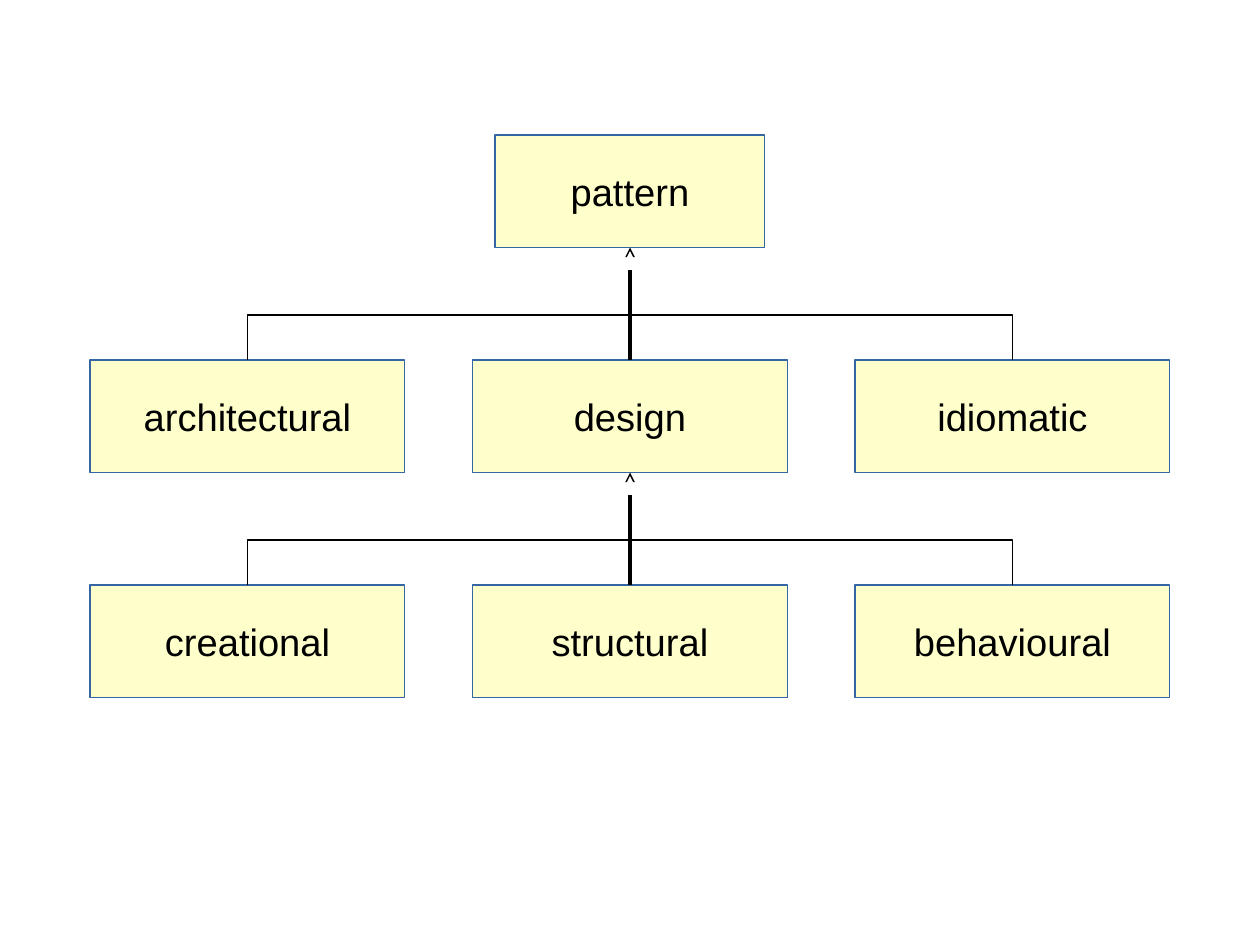
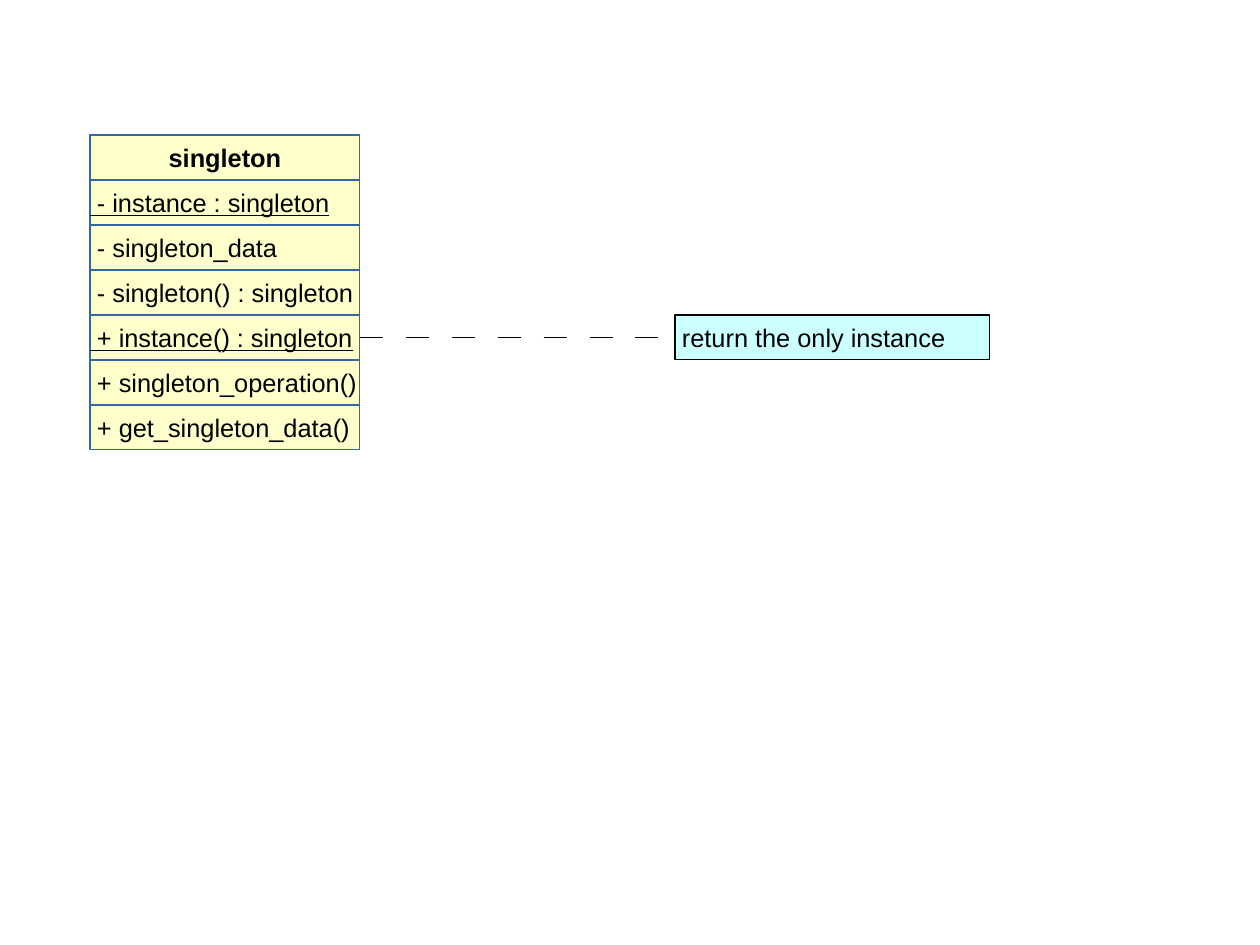
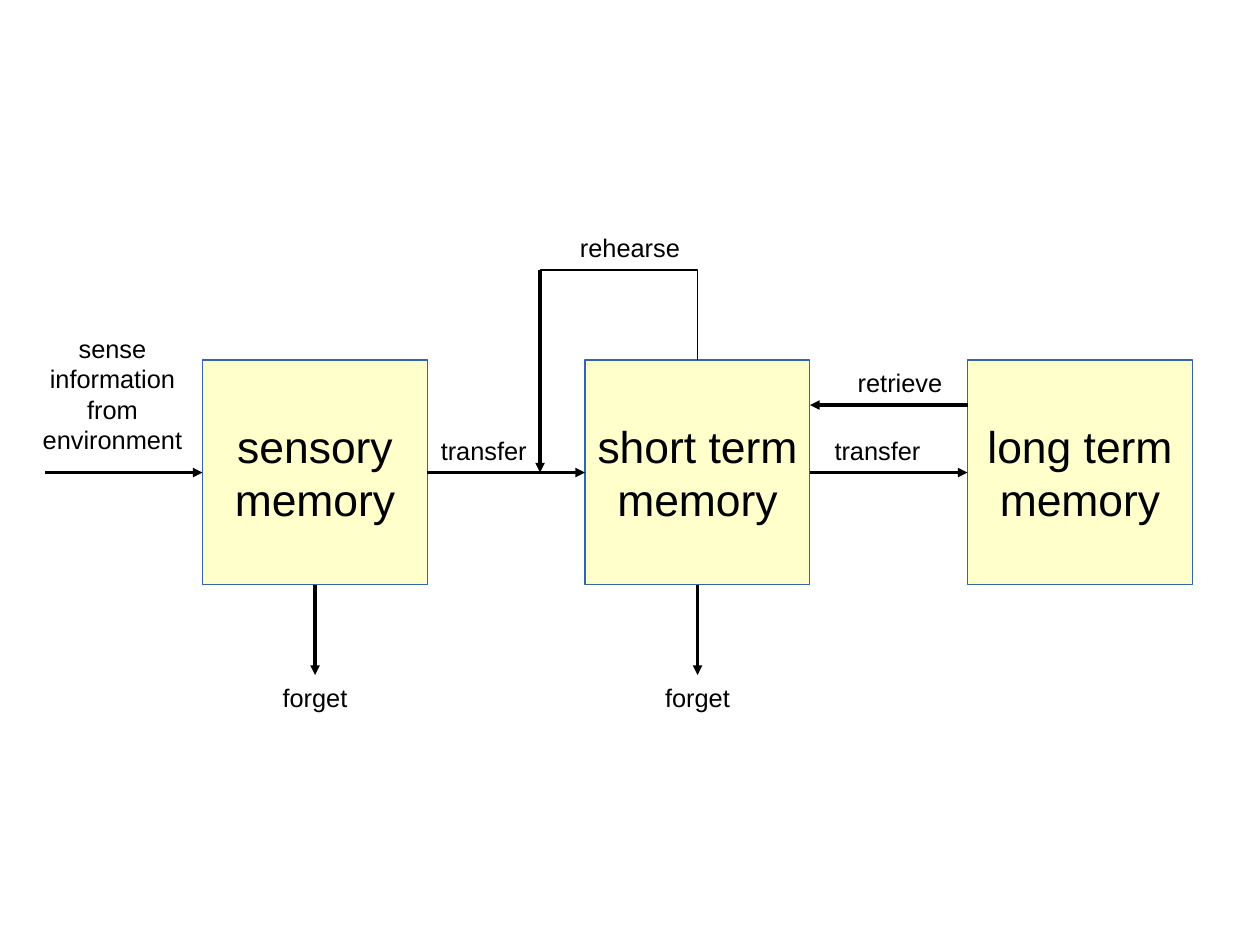
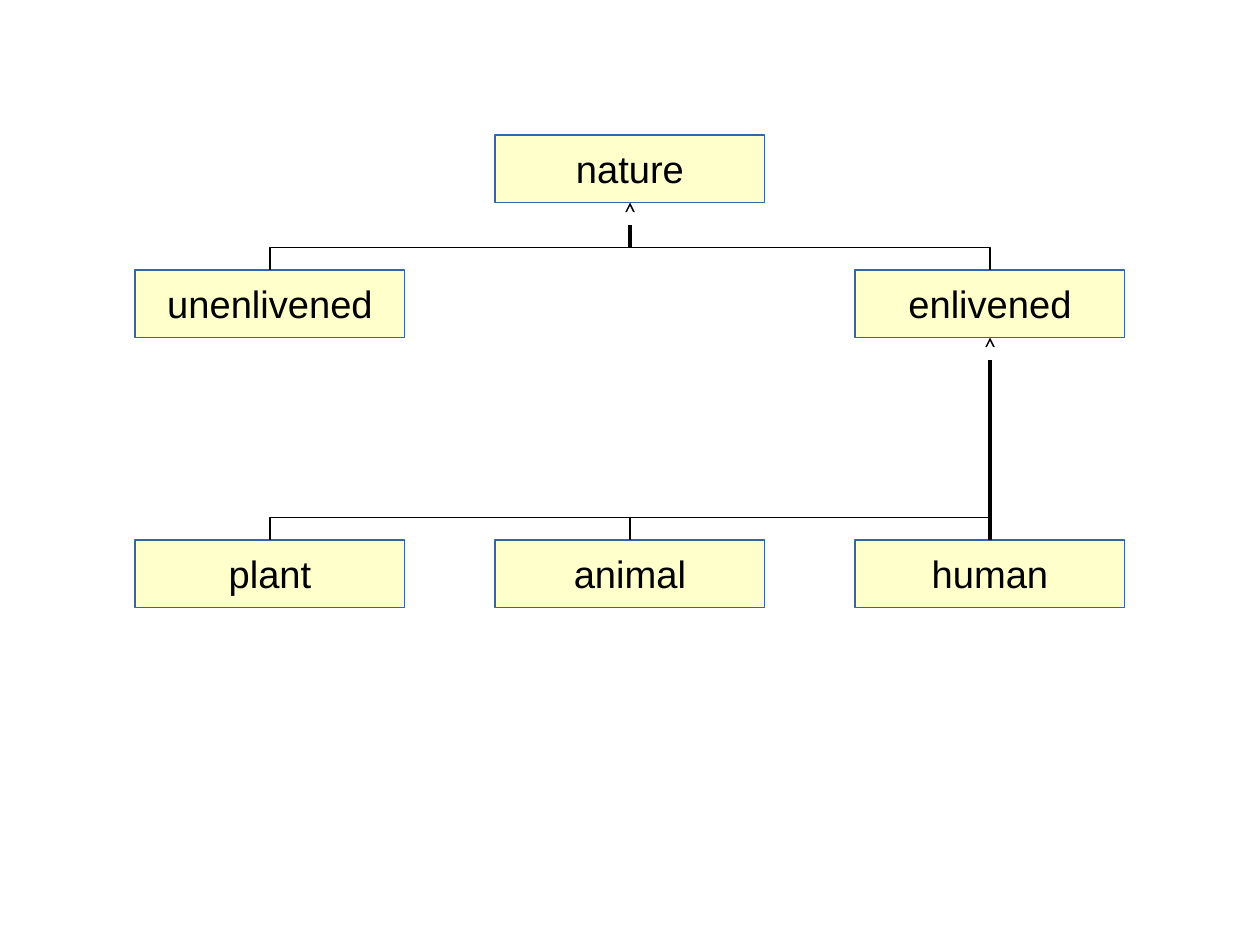
from lxml import etree
from pptx import Presentation, util as u
from pptx.dml.color import RGBColor
from pptx.enum import shapes, text
from pptx.oxml.ns import qn

# Shared look: a grid of 56 x 42 half-centimetre cells
CELL = u.Cm(0.5)
COLS, ROWS = 56, 42
FONT = "Arial"
COLOURS = dict(box="FFFFCC", edge="3465A4", note="CCFFFF", ink="000000", paper="FFFFFF")
CENTRE, LEFT = text.PP_ALIGN.CENTER, text.PP_ALIGN.LEFT

# Trees: box size, boxes as name: (column, row), families as (parent, children, rail row)
TREES = {
    "patterns": dict(
        size=(14, 5),
        boxes={"pattern": (22, 6, 12, 5),
               "architectural": (4, 16), "design": (21, 16), "idiomatic": (38, 16),
               "creational": (4, 26), "structural": (21, 26), "behavioural": (38, 26)},
        families=[("pattern", ["architectural", "design", "idiomatic"], 14),
                  ("design", ["creational", "structural", "behavioural"], 24)]),
    "nature": dict(
        size=(12, 3),
        boxes={"nature": (22, 6), "unenlivened": (6, 12), "enlivened": (38, 12),
               "plant": (6, 24), "animal": (22, 24), "human": (38, 24)},
        families=[("nature", ["unenlivened", "enlivened"], 11),
                  ("enlivened", ["plant", "animal", "human"], 23)]),
}

# Class diagram: (row text, bold, underlined)
SINGLETON = [
    ("singleton", True, False),
    (" - instance : singleton", False, True),
    (" - singleton_data", False, False),
    (" - singleton() : singleton", False, False),
    (" + instance() : singleton", False, True),
    (" + singleton_operation()", False, False),
    (" + get_singleton_data()", False, False),
]
NOTED_ROW, NOTE = 4, " return the only instance"

# Memory model: stores left to right, labels as (text, column, row, width, height)
STORES = ["sensory\nmemory", "short term\nmemory", "long term\nmemory"]
LABELS = [
    ("sense\ninformation\nfrom\nenvironment", 1, 14, 8, 7),
    ("transfer", 19, 19, 5, 2), ("transfer", 36, 19, 6, 2),
    ("retrieve", 37, 16, 6, 2), ("rehearse", 25, 10, 6, 2),
    ("forget", 11, 30, 6, 2), ("forget", 28, 30, 6, 2),
]


def cells(*counts):
    return [u.Emu(round(n * CELL)) for n in counts]


def rgb(name):
    return RGBColor.from_string(COLOURS[name])


def write(sp, words, size, align=CENTRE, bold=False, underline=False):
    tf = sp.text_frame
    tf.text = words
    tf.word_wrap = True
    tf.vertical_anchor = text.MSO_ANCHOR.MIDDLE
    tf.margin_left = tf.margin_right = tf.margin_top = tf.margin_bottom = 0
    for p in tf.paragraphs:
        p.alignment = align
        for r in p.runs:
            r.font.name, r.font.size = FONT, u.Pt(size)
            r.font.bold, r.font.underline = bold, underline
            r.font.color.rgb = rgb("ink")


def box(s, at, words, size, fill="box", edge="edge", **style):
    sp = s.shapes.add_shape(shapes.MSO_SHAPE.RECTANGLE, *cells(*at))
    sp.shadow.inherit = False
    sp.fill.solid()
    sp.fill.fore_color.rgb = rgb(fill)
    sp.line.color.rgb = rgb(edge)
    sp.line.width = 0
    write(sp, words, size, **style)
    return sp


def line(s, start, end, colour="ink", arrow=True, source=None, target=None):
    """Straight line; source and target are (shape, side) pairs to join."""
    cx = s.shapes.add_connector(shapes.MSO_CONNECTOR.STRAIGHT, *cells(*start, *end))
    if source:
        cx.begin_connect(*source)
    if target:
        cx.end_connect(*target)
    cx.line.color.rgb = rgb(colour)
    cx.line.width = 0
    if arrow:
        etree.SubElement(cx.line._get_or_add_ln(), qn("a:tailEnd"), type="triangle")
    etree.SubElement(cx._element.spPr, qn("a:effectLst"))
    return cx


def bend(s, first, *points):
    builder = s.shapes.build_freeform(*first, scale=CELL)
    builder.add_line_segments(points, close=False)
    sp = builder.convert_to_shape()
    sp.shadow.inherit = False
    sp.fill.background()
    sp.line.color.rgb = rgb("ink")
    sp.line.width = 0


def tree(s, size, boxes, families):
    places = {name: (*at, *size)[:4] for name, at in boxes.items()}
    nodes = {name: box(s, at, name, 24) for name, at in places.items()}
    for parent, children, rail in families:
        left, top, width, height = places[parent]
        mid, foot = left + width // 2, top + height
        source, start = None, (mid, rail)
        for child in children:
            x, y, w, _ = places[child]
            x += w // 2
            if x == mid:
                source, start = (nodes[child], 0), (x, y)
            else:
                bend(s, (x, y), (x, rail), (mid, rail))
        line(s, start, (mid, foot), source=source, target=(nodes[parent], 2))
        # White head hollows out the black one
        line(s, (mid, foot + 1), (mid, foot + 0.16), colour="paper")


def class_diagram(s):
    left, top, width, height = 4, 6, 12, 2
    rows = [box(s, (left, top + i * height, width, height), words, 16,
                align=LEFT if i else CENTRE, bold=bold, underline=underline)
            for i, (words, bold, underline) in enumerate(SINGLETON)]
    y = top + NOTED_ROW * height
    note = box(s, (30, y, 14, height), NOTE, 16, fill="note", edge="ink", align=LEFT)
    link = line(s, (left + width, y + 1), (30, y + 1), arrow=False,
                source=(rows[NOTED_ROW], 3), target=(note, 1))
    # Dashes and gaps one cell long, in thousandths of a percent of the line width
    link.line.width = u.Pt(0.5)
    share = str(round(CELL / u.Pt(0.5) * 100000))
    dash = etree.SubElement(link.line._get_or_add_ln(), qn("a:custDash"))
    etree.SubElement(dash, qn("a:ds"), d=share, sp=share)


def memory_model(s):
    side, pitch, left, top = 10, 17, 9, 16
    mid, foot = top + side // 2, top + side
    lefts = [left + i * pitch for i in range(len(STORES))]
    stores = [box(s, (x, top, side, side), words, 28) for x, words in zip(lefts, STORES)]
    # Sense, transfer and forget
    line(s, (2, mid), (left, mid), target=(stores[0], 1))
    for i, x in enumerate(lefts[:-1]):
        line(s, (x + side, mid), (x + pitch, mid),
             source=(stores[i], 3), target=(stores[i + 1], 1))
        line(s, (x + side // 2, foot), (x + side // 2, foot + 4), source=(stores[i], 2))
    # Retrieve and rehearse
    line(s, (lefts[2], top + 2), (lefts[1] + side, top + 2))
    loop, x = top - 4, lefts[1] + side // 2
    bend(s, (x, top), (x, loop), (lefts[1] - 2, loop))
    line(s, (lefts[1] - 2, loop), (lefts[1] - 2, mid))
    for words, *at in LABELS:
        write(s.shapes.add_textbox(*cells(*at)), words, 16)


def main():
    prs = Presentation()
    prs.slide_width, prs.slide_height = cells(COLS, ROWS)
    blank = prs.slide_layouts[6]
    tree(prs.slides.add_slide(blank), **TREES["patterns"])
    class_diagram(prs.slides.add_slide(blank))
    memory_model(prs.slides.add_slide(blank))
    tree(prs.slides.add_slide(blank), **TREES["nature"])
    prs.save("out.pptx")


if __name__ == "__main__":
    main()
